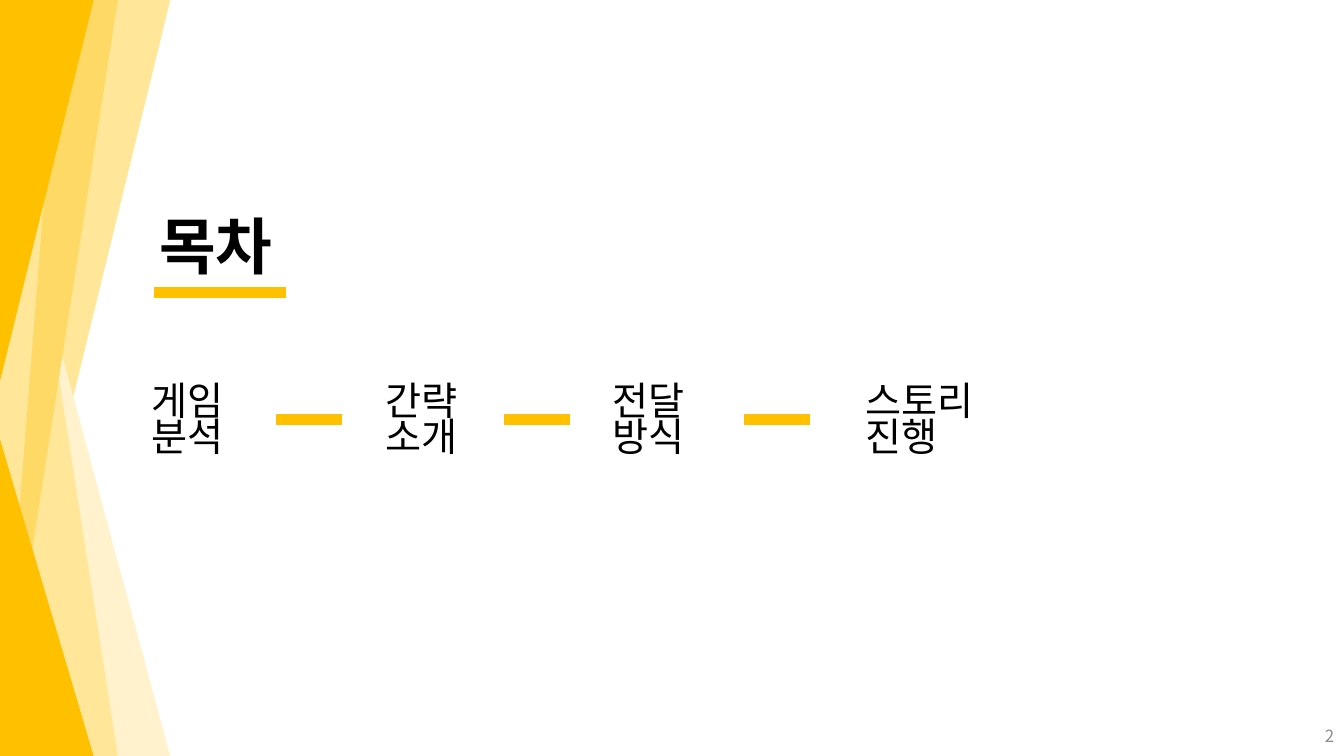
from typing import NamedTuple

import pptx
import pptx.dml.color
import pptx.enum.shapes
import pptx.enum.text
import pptx.oxml.ns
import pptx.slide
import pptx.util
from lxml import etree

Cm = pptx.util.Cm
Pt = pptx.util.Pt
RGBColor = pptx.dml.color.RGBColor
Anchor = pptx.enum.text.MSO_ANCHOR
Align = pptx.enum.text.PP_ALIGN

GOLD = RGBColor(0xFF, 0xC0, 0x00)
AMBER = RGBColor(0xFF, 0xD9, 0x66)
LIGHT = RGBColor(0xFF, 0xE6, 0x99)
CREAM = RGBColor(0xFF, 0xF2, 0xCC)
BLACK = RGBColor(0x00, 0x00, 0x00)
GRAY = RGBColor(0x8C, 0x8C, 0x8C)

FONT = "Noto Sans CJK KR"
SLIDE_WIDTH, SLIDE_HEIGHT = 33.87, 19.05
ITEM_TOP, DASH_Y, DASH_WIDTH = 9.63, 10.57, 1.66


class Shard(NamedTuple):
    """A right triangle on the left edge, hanging from the top or standing on the bottom."""
    width: float
    height: float
    hangs: bool
    color: RGBColor


class Label(NamedTuple):
    lines: tuple[str, ...]
    left: float
    top: float
    width: float
    height: float
    size: float
    line_spacing: float = 1.0
    bold: bool = False
    color: RGBColor = BLACK
    align: Align = Align.LEFT
    anchor: Anchor = Anchor.TOP


class Bar(NamedTuple):
    left: float
    y: float
    width: float


def item(left: float, *lines: str) -> Label:
    return Label(lines, left, ITEM_TOP, 5.82, 1.63, 28, 0.76)


SHARDS = [
    Shard(4.29, 17.55, True, LIGHT),
    Shard(4.29, 15.9, False, CREAM),
    Shard(2.97, SLIDE_HEIGHT, False, LIGHT),
    Shard(2.97, SLIDE_HEIGHT, True, AMBER),
    Shard(1.5, SLIDE_HEIGHT, True, LIGHT),
    Shard(2.36, 7.98, False, GOLD),
    Shard(2.36, 9.6, True, GOLD),
]
LABELS = [
    Label(("목차",), 3.76, 5.49, 21.97, 1.83, 44, 0.79, bold=True),
    item(3.56, "게임", "분석"),
    item(9.47, "간략", "소개"),
    item(15.19, "전달", "방식"),
    item(21.56, "스토리", "진행"),
    Label(("2",), 26.25, 18.03, 7.62, 1.02, 12, color=GRAY,
          align=Align.RIGHT, anchor=Anchor.MIDDLE),
]
BARS = [Bar(3.89, 7.37, 3.32)] + [Bar(left, DASH_Y, DASH_WIDTH) for left in (6.96, 12.7, 18.75)]


def apply_format(target: object, values: dict[str, object]) -> None:
    for name, value in values.items():
        setattr(target, name, value)


def draw_shard(slide: pptx.slide.Slide, shard: Shard) -> None:
    top = 0 if shard.hangs else SLIDE_HEIGHT - shard.height
    shape = slide.shapes.add_shape(
        pptx.enum.shapes.MSO_SHAPE.ISOSCELES_TRIANGLE,
        Cm(0), Cm(top), Cm(shard.width), Cm(shard.height))
    shape.adjustments[0] = 1 if shard.hangs else 0
    shape.rotation = 180 if shard.hangs else 0
    shape.shadow.inherit = False
    shape.fill.solid()
    shape.fill.fore_color.rgb = shard.color
    shape.line.fill.background()


def draw_label(slide: pptx.slide.Slide, label: Label) -> None:
    box = slide.shapes.add_textbox(
        Cm(label.left), Cm(label.top), Cm(label.width), Cm(label.height))
    apply_format(box.text_frame, {"word_wrap": True, "vertical_anchor": label.anchor})
    paragraph = box.text_frame.paragraphs[0]
    apply_format(paragraph, {"alignment": label.align, "line_spacing": label.line_spacing})
    for index, line in enumerate(label.lines):
        if index:
            paragraph.add_line_break()
        run = paragraph.add_run()
        run.text = line
        apply_format(run.font, {"name": FONT, "size": Pt(label.size), "bold": label.bold})
        run.font.color.rgb = label.color
        east_asian = etree.SubElement(run.font._element, pptx.oxml.ns.qn("a:ea"))
        east_asian.set("typeface", FONT)


def draw_bar(slide: pptx.slide.Slide, bar: Bar) -> None:
    connector = slide.shapes.add_connector(
        pptx.enum.shapes.MSO_CONNECTOR.STRAIGHT,
        Cm(bar.left), Cm(bar.y), Cm(bar.left + bar.width), Cm(bar.y))
    connector.line.color.rgb = GOLD
    connector.line.width = Pt(8.25)
    etree.SubElement(connector._element.spPr, pptx.oxml.ns.qn("a:effectLst"))


def main() -> None:
    presentation = pptx.Presentation()
    presentation.slide_width = Cm(SLIDE_WIDTH)
    presentation.slide_height = Cm(SLIDE_HEIGHT)
    slide = presentation.slides.add_slide(presentation.slide_layouts[6])
    for shard in SHARDS:
        draw_shard(slide, shard)
    for label in LABELS:
        draw_label(slide, label)
    for bar in BARS:
        draw_bar(slide, bar)
    presentation.save("out.pptx")


if __name__ == "__main__":
    main()
